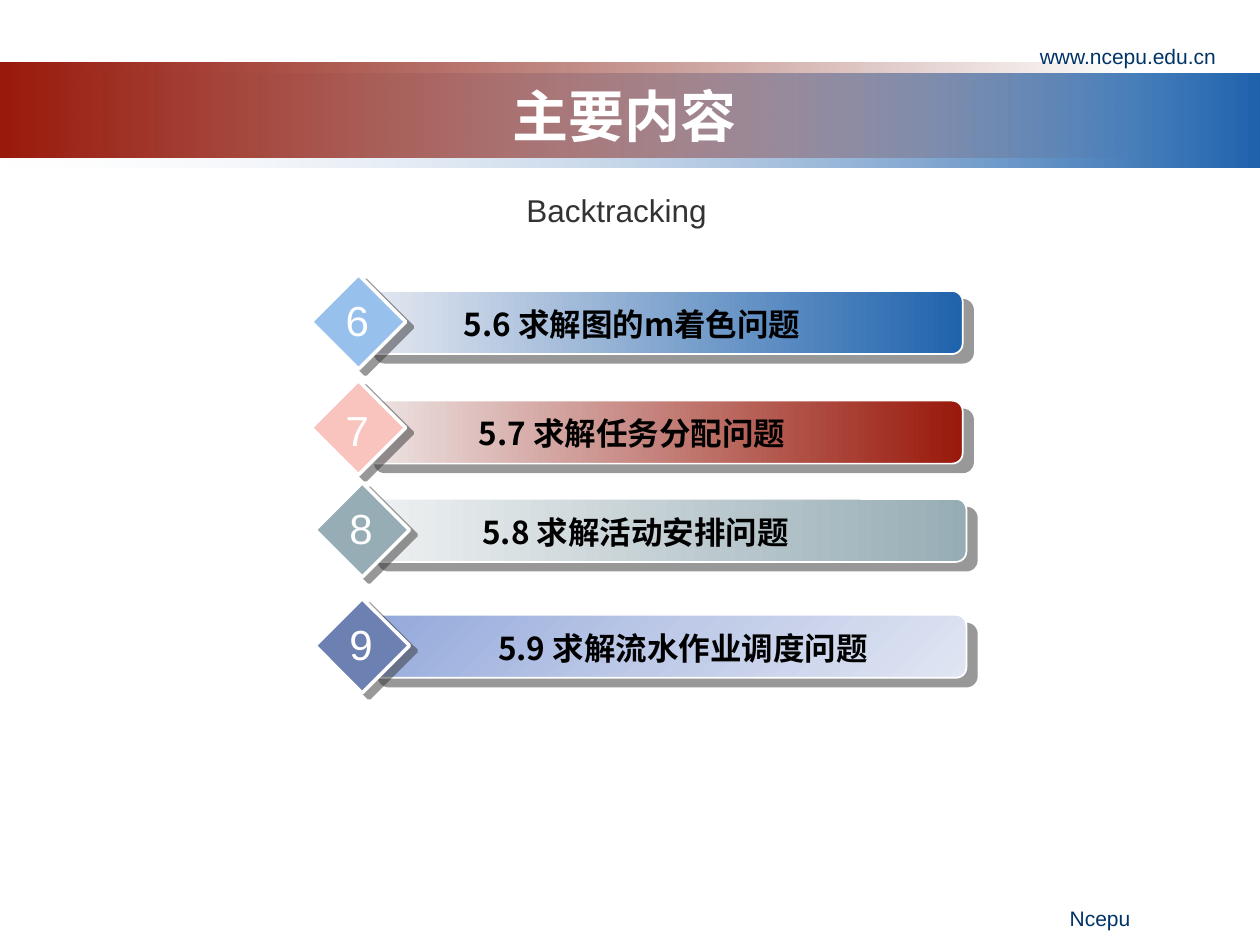
import pptx
import pptx.dml.color
import pptx.enum.shapes
import pptx.enum.text
import pptx.oxml
import pptx.oxml.ns
import pptx.util
from pptx.util import Inches

COLORS = {
    "white": "FFFFFF", "black": "000000", "navy": "003366", "gray": "333333",
    "blue": "1F63AD", "red": "99190B", "dark_red": "6D1208", "teal": "97ADB5",
    "pale_blue": "F1F2F7", "blue_tint": "E6E9F1", "red_tint": "EEE6E6",
    "teal_tint": "EEF1F2", "sky": "97C0EC", "pink": "FAC4BE", "indigo": "6C81B2",
    "violet": "93A8DB", "violet_mid": "BECAE7", "violet_tint": "E0E5F2",
}
LATIN, CJK = "Arial", "Noto Sans CJK SC"
SHAPE = pptx.enum.shapes.MSO_SHAPE
ALIGN = pptx.enum.text.PP_ALIGN
NAMESPACE = pptx.oxml.ns.nsdecls("a")

# Each row: number, label, bar left, bar top, diamond top, label width,
# diamond colour, bar gradient stops (position, colour, opacity), angle
ROWS = [
    ("8", "5.8 求解活动安排问题", 2.92, 3.96, 3.83, 3.75, "teal",
     [(0, "teal_tint", 100), (100, "teal", 100)], 0),
    ("9", "5.9 求解流水作业调度问题", 2.92, 4.88, 4.75, 4.5, "indigo",
     [(0, "violet", 100), (50, "violet_mid", 100), (100, "violet_tint", 100)], 45),
    ("7", "5.7 求解任务分配问题", 2.89, 3.18, 3.02, 3.75, "pink",
     [(0, "red_tint", 100), (100, "red", 100)], 0),
    ("6", "5.6 求解图的m着色问题", 2.89, 2.31, 2.18, 3.75, "sky",
     [(0, "blue_tint", 100), (100, "blue", 100)], 0),
]


def rgb(name):
    return pptx.dml.color.RGBColor.from_string(COLORS[name])


def color_xml(name, opacity):
    return (f'<a:srgbClr val="{COLORS[name]}">'
            f'<a:alpha val="{opacity * 1000}"/></a:srgbClr>')


def set_gradient(shape, stops, angle=0):
    """Replace the fill with a linear gradient."""
    shape.fill.background()
    stop_xml = "".join(
        f'<a:gs pos="{position * 1000}">{color_xml(name, opacity)}</a:gs>'
        for position, name, opacity in stops)
    gradient = pptx.oxml.parse_xml(
        f'<a:gradFill {NAMESPACE} rotWithShape="1"><a:gsLst>{stop_xml}</a:gsLst>'
        f'<a:lin ang="{angle * 60000}" scaled="0"/></a:gradFill>')
    properties = shape.element.spPr
    properties.replace(properties.find(pptx.oxml.ns.qn("a:noFill")), gradient)


def set_shadow(shape, distance, angle):
    """Give the shape a sharp, half-transparent shadow."""
    effects = shape.element.spPr.find(pptx.oxml.ns.qn("a:effectLst"))
    effects.append(pptx.oxml.parse_xml(
        f'<a:outerShdw {NAMESPACE} blurRad="0" dist="{pptx.util.Pt(distance)}" '
        f'dir="{angle * 60000}" algn="ctr" rotWithShape="0">'
        f'{color_xml("gray", 50)}</a:outerShdw>'))


def add_shape(shapes, kind, left, top, width, height, line_width=0):
    shape = shapes.add_shape(kind, Inches(left), Inches(top),
                             Inches(width), Inches(height))
    shape.shadow.inherit = False
    if line_width:
        shape.line.color.rgb = rgb("white")
        shape.line.width = pptx.util.Pt(line_width)
    else:
        shape.line.fill.background()
    return shape


def add_text(shapes, text, left, top, width, height, size, color,
             align=ALIGN.CENTER, font=LATIN, wrap=True, grow=False):
    """Add a one-line text box; Chinese text is bold."""
    box = shapes.add_textbox(Inches(left), Inches(top), Inches(width), Inches(height))
    frame = box.text_frame
    frame.word_wrap = wrap
    if grow:
        frame.auto_size = pptx.enum.text.MSO_AUTO_SIZE.SHAPE_TO_FIT_TEXT
    frame.text = text
    paragraph = frame.paragraphs[0]
    paragraph.alignment = align
    run = paragraph.runs[0]
    run.font.size = pptx.util.Pt(size)
    run.font.name = font
    run.font.bold = font == CJK
    run.font.color.rgb = rgb(color)
    run.font._element.append(pptx.oxml.parse_xml(
        f'<a:ea {NAMESPACE} typeface="{font}"/>'))
    return box


def add_band(slide, top, width, stops):
    band = add_shape(slide.shapes, SHAPE.RECTANGLE, 0, top, width, 0.75)
    set_gradient(band, stops)


def add_row(slide, number, label, left, top, diamond_top, label_width,
            diamond_color, stops, angle):
    """Add a grouped bar with its numbered diamond."""
    shapes = slide.shapes.add_group_shape().shapes
    bar = add_shape(shapes, SHAPE.ROUNDED_RECTANGLE, left, top, 4.75, 0.5, 1)
    set_gradient(bar, stops, angle)
    set_shadow(bar, 7.8, 40)

    diamond = add_shape(shapes, SHAPE.DIAMOND, left - 0.42, diamond_top, 0.75, 0.75, 2)
    diamond.fill.solid()
    diamond.fill.fore_color.rgb = rgb(diamond_color)
    set_shadow(diamond, 5, 37)

    add_text(shapes, label, left + 0.25, top + 0.06, label_width, 0.4, 18, "black",
             font=CJK, grow=True)
    add_text(shapes, number, left - 0.25, top - 0.02, 0.39, 0.51, 24, "white",
             wrap=False, grow=True)


def main():
    presentation = pptx.Presentation()
    presentation.slide_width = Inches(10)
    presentation.slide_height = Inches(7.5)
    slide = presentation.slides.add_slide(presentation.slide_layouts[6])

    # Header bands and title
    add_band(slide, 0.58, 10, [(0, "pale_blue", 0), (100, "blue", 100)])
    add_band(slide, 0.5, 9, [(0, "red", 100), (100, "dark_red", 0)])
    title = add_text(slide.shapes, "主要内容", 0.92, 0.6, 8.08, 0.62, 32, "white", font=CJK)
    title.text_frame.vertical_anchor = pptx.enum.text.MSO_ANCHOR.MIDDLE

    # Site address and footer
    add_text(slide.shapes, "www.ncepu.edu.cn", 7.42, 0.3, 2.33, 0.27, 12, "navy", ALIGN.RIGHT)
    add_text(slide.shapes, "Ncepu", 5.9, 7.14, 3.17, 0.3, 12, "navy", ALIGN.RIGHT)

    # Subtitle and contents
    add_text(slide.shapes, "Backtracking", 4.08, 1.47, 1.65, 0.4, 18, "gray",
             ALIGN.LEFT, wrap=False, grow=True)
    for row in ROWS:
        add_row(slide, *row)

    presentation.save("out.pptx")


if __name__ == "__main__":
    main()
